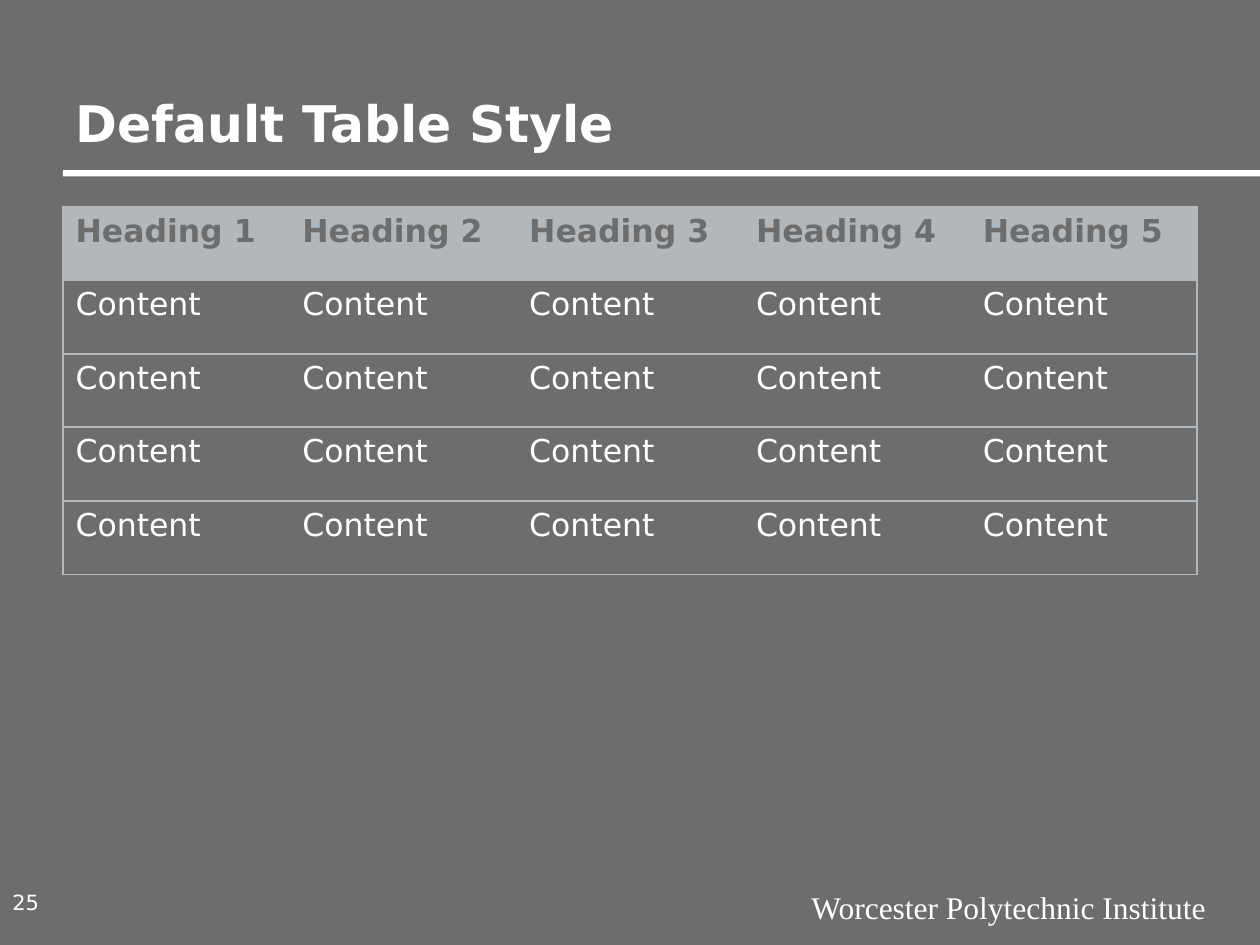
from pptx import Presentation
from pptx.dml.color import RGBColor
from pptx.enum.shapes import MSO_SHAPE
from pptx.enum.text import MSO_ANCHOR, PP_ALIGN
from pptx.oxml.ns import qn
from pptx.util import Inches, Pt
from lxml.etree import SubElement

GRAY = RGBColor(0x6D, 0x6D, 0x6D)
SILVER = RGBColor(0xB2, 0xB7, 0xBB)
WHITE = RGBColor(0xFF, 0xFF, 0xFF)
SANS = "DejaVu Sans"
SERIF = "Times New Roman"
COLUMNS, ROWS = 5, 5


def write(text_frame, text, size, color=WHITE, name=SANS, bold=False,
          align=PP_ALIGN.LEFT, anchor=MSO_ANCHOR.TOP):
    text_frame.word_wrap = True
    text_frame.vertical_anchor = anchor
    paragraph = text_frame.paragraphs[0]
    paragraph.text = text
    paragraph.alignment = align
    font = paragraph.font
    font.name, font.size, font.bold = name, Pt(size), bold
    font.color.rgb = color


def add_border(cell, side, visible):
    line = SubElement(cell._tc.get_or_add_tcPr(), qn(f"a:ln{side}"), w=str(Pt(1.25)))
    if visible:
        fill = SubElement(line, qn("a:solidFill"))
        SubElement(fill, qn("a:srgbClr"), val=str(SILVER))
    else:
        SubElement(line, qn("a:noFill"))


presentation = Presentation()
presentation.slide_width = Inches(10)
presentation.slide_height = Inches(7.5)
slide = presentation.slides.add_slide(presentation.slide_layouts[5])
slide.background.fill.solid()
slide.background.fill.fore_color.rgb = GRAY

# Title and the rule below it
title = slide.shapes.title
title.left, title.top = Inches(0.5), Inches(0.38)
title.width, title.height = Inches(9), Inches(0.88)
write(title.text_frame, "Default Table Style", 28.8, bold=True, anchor=MSO_ANCHOR.BOTTOM)

rule = slide.shapes.add_shape(
    MSO_SHAPE.RECTANGLE, Inches(0.5), Inches(1.35), Inches(9.5), Inches(0.05))
rule.shadow.inherit = False
rule.fill.solid()
rule.fill.fore_color.rgb = WHITE
rule.line.fill.background()

# Table: filled heading row, horizontal rules and an outer frame
table = slide.shapes.add_table(
    ROWS, COLUMNS, Inches(0.5), Inches(1.64), Inches(9), Inches(2.92)).table
table.horz_banding = False
for row in range(ROWS):
    for column in range(COLUMNS):
        cell = table.cell(row, column)
        heading = row == 0
        write(cell.text_frame, f"Heading {column + 1}" if heading else "Content", 18,
              color=GRAY if heading else WHITE, bold=heading)
        add_border(cell, "L", column == 0)
        add_border(cell, "R", column == COLUMNS - 1)
        add_border(cell, "T", True)
        add_border(cell, "B", True)
        if heading:
            cell.fill.solid()
            cell.fill.fore_color.rgb = SILVER
        else:
            cell.fill.background()

# Footer: slide number and institution
number = slide.shapes.add_textbox(Inches(0), Inches(6.99), Inches(0.5), Inches(0.34))
write(number.text_frame, "25", 12, anchor=MSO_ANCHOR.MIDDLE)
institution = slide.shapes.add_textbox(Inches(6), Inches(7), Inches(3.67), Inches(0.4))
write(institution.text_frame, "Worcester Polytechnic Institute", 18, name=SERIF,
      align=PP_ALIGN.RIGHT)

presentation.save("out.pptx")
